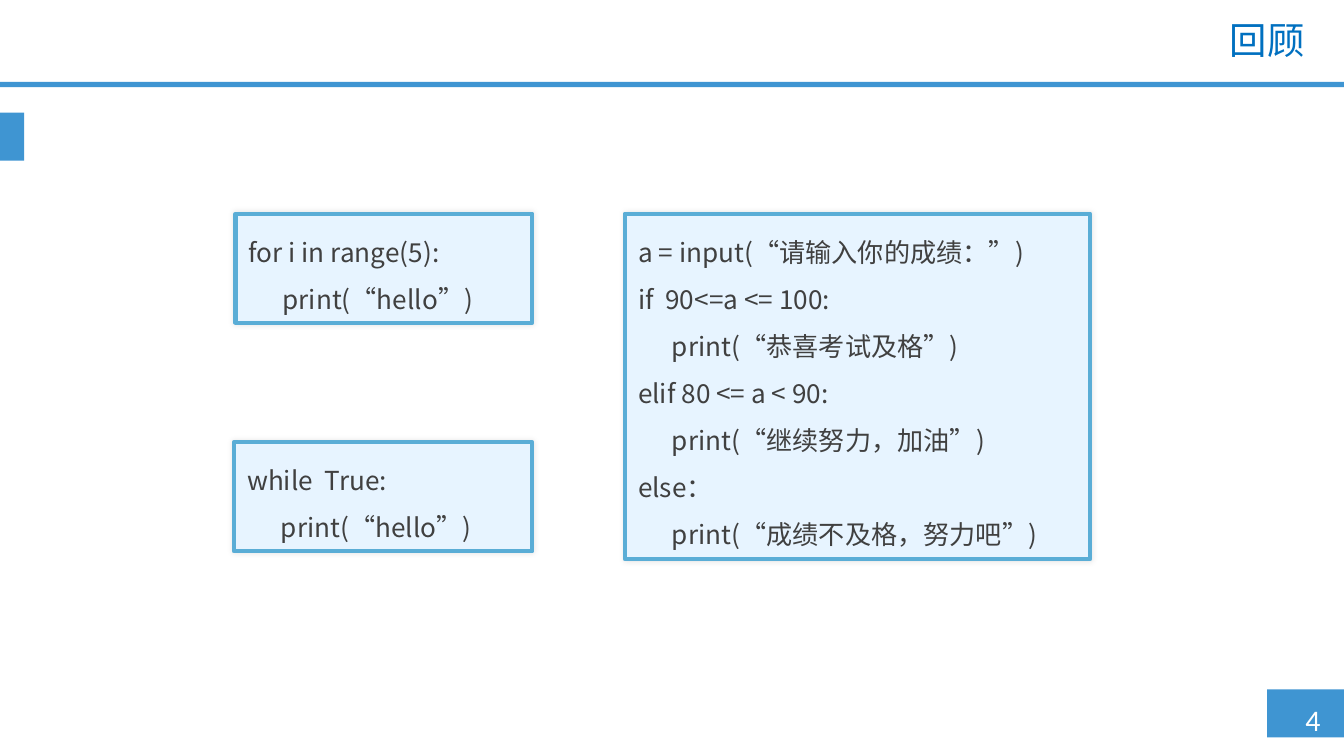
"""Build a review slide with three boxes of Python code."""
from lxml import etree
from pptx import Presentation
from pptx import util as u
from pptx.dml.color import RGBColor
from pptx.enum import shapes, text
from pptx.oxml.ns import qn

BLUE = "3F95D2"
CODE_FONT = "Noto Sans CJK SC"
LOOPS = [
    (4.45, 4.04, 5.61, 2.06, ["for i in range(5):", "\tprint(“hello”)"]),
    (4.42, 8.36, 5.64, 2.06, ["while  True:", "\tprint(“hello”)"]),
]
GRADES = (11.81, 4.04, 8.79, 6.53, [
    "a = input(“请输入你的成绩：”)",
    "if  90<=a <= 100:",
    "\tprint(“恭喜考试及格”)",
    "elif 80 <= a < 90:",
    "\tprint(“继续努力，加油”)",
    "else：",
    "\tprint(“成绩不及格，努力吧”)",
])


def rgb(value):
    """Turn a hex string into a colour."""
    return RGBColor.from_string(value)


def add_run(p, content, size, font, color):
    """Add one formatted run to a paragraph."""
    r = p.add_run()
    r.text = content
    r.font.size = u.Pt(size)
    r.font.name = font
    r.font.color.rgb = rgb(color)
    return r


def add_bar(s, x, y, w, h):
    """Add a plain blue rectangle."""
    sp = s.shapes.add_shape(shapes.MSO_SHAPE.RECTANGLE, u.Cm(x), u.Cm(y), u.Cm(w), u.Cm(h))
    sp.shadow.inherit = False
    sp.fill.solid()
    sp.fill.fore_color.rgb = rgb(BLUE)
    sp.line.fill.background()


def add_soft_shadow(sp):
    """Give a shape a faint centred shadow."""
    sp.shadow.inherit = False
    effects = sp._element.spPr.find(qn("a:effectLst"))
    shadow = etree.SubElement(effects, qn("a:outerShdw"), blurRad=str(u.Pt(3)), algn="ctr", rotWithShape="0")
    color = etree.SubElement(shadow, qn("a:srgbClr"), val="000000")
    etree.SubElement(color, qn("a:alpha"), val="10000")


def add_code_box(s, x, y, w, h, lines):
    """Add a framed box with one paragraph per code line."""
    sp = s.shapes.add_shape(shapes.MSO_SHAPE.ROUNDED_RECTANGLE, u.Cm(x), u.Cm(y), u.Cm(w), u.Cm(h))
    sp.adjustments[0] = 0
    sp.fill.solid()
    sp.fill.fore_color.rgb = rgb("E7F4FF")
    sp.line.color.rgb = rgb("5AADD6")
    sp.line.width = u.Pt(2.25)
    add_soft_shadow(sp)
    tf = sp.text_frame
    tf.word_wrap = True
    tf.vertical_anchor = text.MSO_ANCHOR.TOP
    for i, line in enumerate(lines):
        p = tf.add_paragraph() if i else tf.paragraphs[0]
        p.alignment = text.PP_ALIGN.LEFT
        p.line_spacing = u.Pt(25.2)
        indent = u.Cm(0.64)
        p._p.get_or_add_pPr().set("marL", str(indent))
        p._p.get_or_add_pPr().set("indent", str(-indent))
        r = add_run(p, line, 14, CODE_FONT, "404040")
        etree.SubElement(r._r.get_or_add_rPr(), qn("a:ea"), typeface=CODE_FONT)


def add_title(s, content):
    """Place the title at the top right."""
    sp = s.shapes.title
    sp.left, sp.top, sp.width, sp.height = u.Cm(11.3), u.Cm(0.3), u.Cm(13.61), u.Cm(1.02)
    tf = sp.text_frame
    tf.vertical_anchor = text.MSO_ANCHOR.MIDDLE
    p = tf.paragraphs[0]
    p.alignment = text.PP_ALIGN.RIGHT
    p.line_spacing = 0.9
    add_run(p, content, 20, "Lato", "0070C0")


def add_page_number(s, number):
    """Write the page number over the corner bar."""
    sp = s.shapes.add_textbox(u.Cm(24.23), u.Cm(13.13), u.Cm(1.17), u.Cm(0.94))
    tf = sp.text_frame
    tf.word_wrap = False
    p = tf.paragraphs[0]
    p.alignment = text.PP_ALIGN.CENTER
    add_run(p, number, 16, "Calibri", "FFFFFF")


def main():
    """Build and save the slide."""
    prs = Presentation()
    prs.slide_width, prs.slide_height = u.Cm(25.4), u.Cm(14.29)
    s = prs.slides.add_slide(prs.slide_layouts[5])
    add_bar(s, 23.95, 13.03, 1.45, 0.91)
    add_bar(s, 0, 1.55, 25.4, 0.1)
    add_bar(s, 0, 2.13, 0.46, 0.91)
    add_page_number(s, "4")
    add_title(s, "回顾")
    for box in [*LOOPS, GRADES]:
        add_code_box(s, *box)
    prs.save("out.pptx")


if __name__ == "__main__":
    main()
